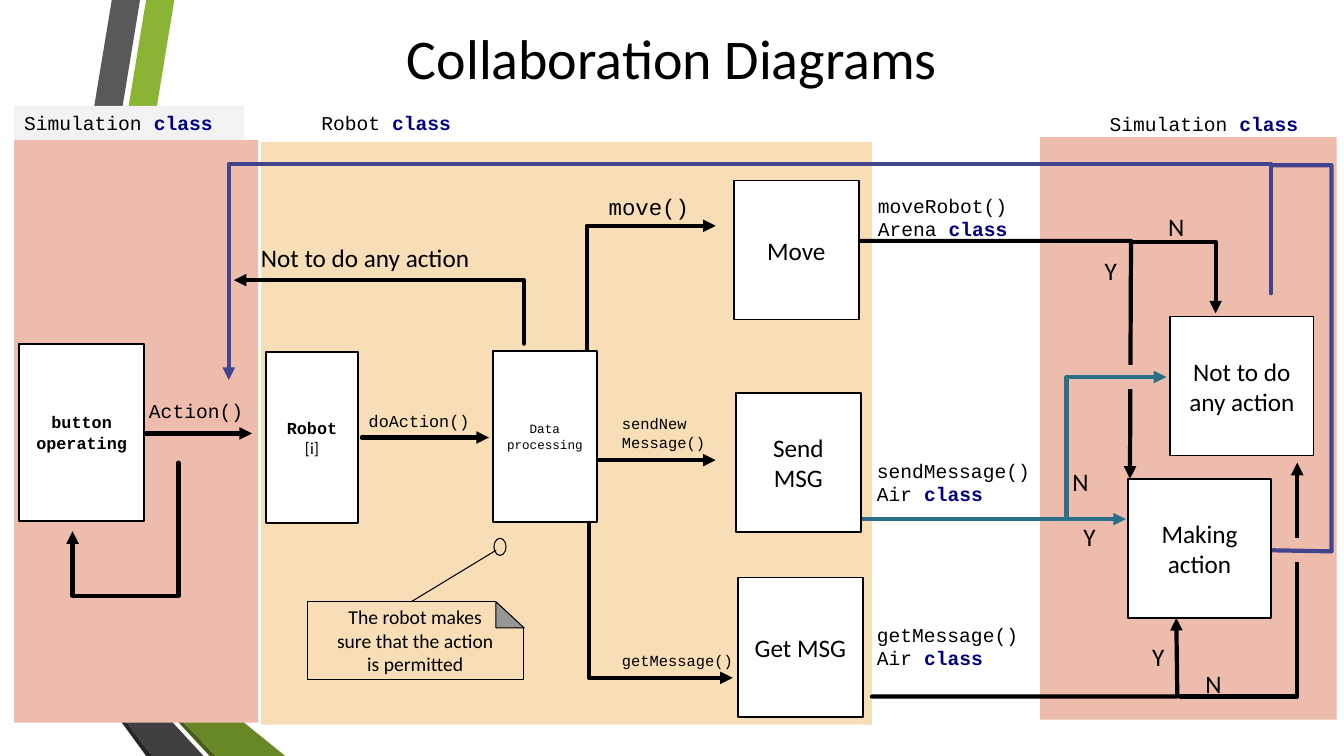
from pptx import Presentation
from pptx.dml.color import RGBColor
from pptx.enum.shapes import MSO_CONNECTOR, MSO_SHAPE
from pptx.enum.text import MSO_ANCHOR, PP_ALIGN
from pptx.oxml.ns import qn
from pptx.oxml.xmlchemy import OxmlElement
from pptx.util import Inches, Pt

RECT, OVAL = MSO_SHAPE.RECTANGLE, MSO_SHAPE.OVAL
FOLD = MSO_SHAPE.RIGHT_TRIANGLE
STRAIGHT = MSO_CONNECTOR.STRAIGHT
LEFT, MID = PP_ALIGN.LEFT, PP_ALIGN.CENTER
TOP, CENTRE = MSO_ANCHOR.TOP, MSO_ANCHOR.MIDDLE

# The grid has square cells, ten to the inch
CELL = Inches(0.1)
COLS, ROWS = 133.33, 75

SANS, MONO = "Calibri", "Courier New"
BLACK = RGBColor(0, 0, 0)
WHITE = RGBColor(255, 255, 255)
NAVY = RGBColor(0, 0, 0x80)
PINK = RGBColor(0xED, 0xBC, 0xAD)
SAND = RGBColor(0xF7, 0xDE, 0xB7)
PALE = RGBColor(0xF2, 0xF2, 0xF2)
GREY = RGBColor(0x96, 0x96, 0x96)
BLUE = RGBColor(0x42, 0x45, 0x8D)
TEAL = RGBColor(0x28, 0x6F, 0x87)
LIME = RGBColor(0x8B, 0xB4, 0x34)
MOSS = RGBColor(0x68, 0x87, 0x27)
OLIVE = RGBColor(0x46, 0x5A, 0x1A)
STONE = RGBColor(0x59, 0x59, 0x59)
COAL = RGBColor(0x40, 0x40, 0x40)
SOOT = RGBColor(0x26, 0x26, 0x26)

# Words that take their own format
MARKS = {"class": ({"bold": True}, NAVY),
         "[i]": ({"bold": False, "name": SANS}, BLACK)}

STRIPES = [
    (LIME, [(5, 57.8), (7.7, 58.3), (17.3, 0), (14.5, 0)]),
    (STONE, [(13.9, 0), (11.1, 0), (1.6, 57.3), (4.4, 57.7)]),
    (SOOT, [(1.6, 57.3), (14.5, 75), (15.1, 75)]),
    (OLIVE, [(5, 57.9), (20.8, 75), (21.4, 75)]),
    (MOSS, [(5, 57.9), (21.4, 75), (28.3, 75), (7.7, 58.3)]),
    (COAL, [(20.2, 75), (4.8, 58.3), (4.3, 57.7), (1.6, 57.3), (15.1, 75)]),
]
BANDS = [(PINK, 103.2, 13.6, 29.4), (PINK, 1.4, 13.9, 24.2),
         (SAND, 25.9, 14.1, 60.6)]
FLOWS = [
    [(10.4, 43), (25, 43)],
    [(35.9, 43.4), (48.5, 43.4)],
    [(50.9, 45.65), (71, 45.65)],
    [(17.7, 45.9), (17.7, 59.1), (7.2, 59.1), (7.2, 52.7)],
    [(58.4, 51.8), (58.4, 67.25), (72.7, 67.25)],
    [(58.2, 34.9), (58.2, 22.4), (71, 22.4)],
    [(52, 34.1), (52, 27.8), (23.2, 27.8)],
    [(86.5, 69.1), (116.8, 69.1), (116.7, 61.3)],
    [(85.3, 23.9), (112.2, 23.9), (112.1, 47.5)],
    [(112.2, 24), (120.6, 24), (120.6, 31.1)],
    [(117.1, 69.1), (128.7, 69.1), (128.7, 45.9)],
]
GAPS = [(111.7, 36.3), (128.1, 53.5)]
BRANCH = [
    [(85.3, 51.5), (111.7, 51.5)],
    [(105.8, 51.2), (105.8, 37.4), (115.7, 37.4)],
]
BACK = [(126.1, 29.1), (126.1, 16.3), (22.7, 16.3), (22.7, 37.7)]
LOOP = [(126.3, 54.6), (132.1, 54.7), (132.1, 16.4), (126.1, 16.4)]

# Text, box, type size, font, bold
NODES = [
    ("Move", (72.8, 17.9, 12.4, 13.8), 18, SANS, False),
    ("Send MSG", (73, 39, 12.4, 13.8), 18, SANS, False),
    ("Get MSG", (73.2, 57.3, 12.4, 13.8), 18, SANS, False),
    ("Making action", (111.9, 47.5, 14.2, 13.8), 18, SANS, False),
    ("Not to do any action", (116.1, 31.4, 14.2, 13.8), 18, SANS, False),
    ("Robot [i]", (26.4, 34.9, 9.1, 17), 12, MONO, True),
    ("button\noperating", (1.9, 34.1, 12.4, 17.6), 12, MONO, True),
    ("Data processing", (48.9, 34.8, 10.3, 17), 9, MONO, False),
]
# Text, left, top, width, type size, font
LABELS = [
    ("doAction()", 35.6, 40.3, 12.4, 12, MONO),
    ("Not to do any action", 24.9, 23.5, 23.5, 18, SANS),
    ("Action()", 13.8, 39.1, 11.6, 14, MONO),
    ("move()", 59.4, 18.7, 12.4, 16, MONO),
    ("sendNew\nMessage()", 60.7, 40.6, 10.8, 11, MONO),
    ("getMessage()", 60.7, 64.1, 14.9, 11, MONO),
    ("moveRobot()\nArena class", 86.1, 18.7, 16, 14, MONO),
    ("sendMessage()\nAir class", 86, 45, 18.9, 14, MONO),
    ("getMessage()\nAir class", 86, 61.3, 17.5, 14, MONO),
    ("Robot class", 30.9, 10.5, 17.5, 14, MONO),
    ("Simulation class", 109.1, 10.6, 22.8, 14, MONO),
]
TURNS = [("N", 118.6, 65.8), ("N", 114.9, 20.5), ("N", 105.4, 45.8),
         ("Y", 108.6, 24.8), ("Y", 113.3, 63.1), ("Y", 106.5, 51.2)]


def grid(*cells):
    """Turn grid cells into slide lengths."""
    return [round(n * CELL) for n in cells]


def apply(item, look):
    """Set each attribute named in a dict."""
    for key, val in look.items():
        setattr(item, key, val)


def write(shape, text, size, font, bold=False, align=LEFT, anchor=TOP):
    """Fill a shape with lines of text, giving marked words their format."""
    frame = shape.text_frame
    apply(frame, {"word_wrap": True, "vertical_anchor": anchor})
    for i, line in enumerate(text.split("\n")):
        para = frame.add_paragraph() if i else frame.paragraphs[0]
        para.alignment = align
        mark = next((m for m in MARKS if m in line), None)
        parts = [line[:-len(mark)], mark] if mark else [line]
        for part in parts:
            run = para.add_run()
            look, hue = MARKS.get(part, ({}, BLACK))
            base = {"size": Pt(size), "name": font, "bold": bold}
            run.text = part
            apply(run.font, {**base, **look})
            run.font.color.rgb = hue


def paint(shape, fill=None, line=None, width=1.25):
    """Give a shape a flat fill and outline, or none."""
    shape.shadow.inherit = False
    if fill is None:
        shape.fill.background()
    else:
        shape.fill.solid()
        shape.fill.fore_color.rgb = fill
    if line is None:
        shape.line.fill.background()
    else:
        shape.line.color.rgb = line
        shape.line.width = Pt(width)


def block(slide, box, fill=None, line=None, width=1.25, kind=RECT):
    """Add a preset shape on the grid."""
    shape = slide.shapes.add_shape(kind, *grid(*box))
    paint(shape, fill, line, width)
    return shape


def trace(slide, points, close):
    """Build an outline through grid points."""
    spots = [grid(*p) for p in points]
    pen = slide.shapes.build_freeform(*spots[0])
    pen.add_line_segments(spots[1:], close=close)
    return pen.convert_to_shape()


def route(slide, points, hue=BLACK, width=3, head=True):
    """Draw a straight or bent line, with an arrowhead if asked."""
    if len(points) == 2:
        ends = grid(*points[0], *points[1])
        line = slide.shapes.add_connector(STRAIGHT, *ends)
        apply(line.line, {"width": Pt(width)})
        line.line.color.rgb = hue
        line.element.spPr.append(OxmlElement("a:effectLst"))
    else:
        line = trace(slide, points, False)
        paint(line, None, hue, width)
    stroke = line.element.spPr.find(qn("a:ln"))
    stroke.set("cap", "rnd")
    if head:
        tip = OxmlElement("a:tailEnd")
        tip.set("type", "triangle")
        stroke.append(tip)


def label(slide, text, left, top, width, size, font, **look):
    """Add a free label; its height follows its lines."""
    high = look.pop("high", 3.4)
    box = slide.shapes.add_textbox(*grid(left, top, width, high))
    write(box, text, size, font, **look)


def note(slide):
    """Draw the folded note and its pointer."""
    page = block(slide, (30.5, 59.7, 21.4, 7.7), None, BLACK, 0.75)
    write(page, "The robot makes\nsure that the action\nis permitted",
          14, SANS, align=MID, anchor=CENTRE)
    block(slide, (49.2, 57.9, 3.7, 4.4), SAND)
    block(slide, (49.2, 59.7, 2.8, 2.6), GREY, BLACK, 0.75, FOLD)
    route(slide, [(40.8, 59.7), (49.2, 54.6)], BLACK, 0.75, False)
    block(slide, (49, 53.4, 1.2, 1.7), None, BLACK, 0.75, OVAL)


def main():
    """Build the slide and save it."""
    deck = Presentation()
    deck.slide_width, deck.slide_height = grid(COLS, ROWS)
    slide = deck.slides.add_slide(deck.slide_layouts[6])
    for hue, points in STRIPES:
        paint(trace(slide, points, True), hue)
    for hue, left, top, width in BANDS:
        block(slide, (left, top, width, 57.8), hue)
    label(slide, "Collaboration Diagrams", 0, 0.1, COLS, 40, SANS,
          align=MID, anchor=CENTRE, high=11.2)
    for points in FLOWS:
        route(slide, points)
    for left, top in GAPS:
        block(slide, (left, top, 0.9, 2.2), PINK, PINK)
    for points in BRANCH:
        route(slide, points, TEAL)
    route(slide, BACK, BLUE)
    route(slide, LOOP, BLUE, head=False)
    for text, box, size, font, bold in NODES:
        write(block(slide, box, WHITE, BLACK), text, size, font, bold,
              MID, CENTRE)
    block_head = block(slide, (1.4, 10.5, 22.8, 3.4), PALE)
    write(block_head, "Simulation class", 14, MONO)
    for item in LABELS:
        label(slide, *item)
    for text, left, top in TURNS:
        label(slide, text, left, top, 3.8, 18, SANS)
    note(slide)
    deck.save("out.pptx")


main()
